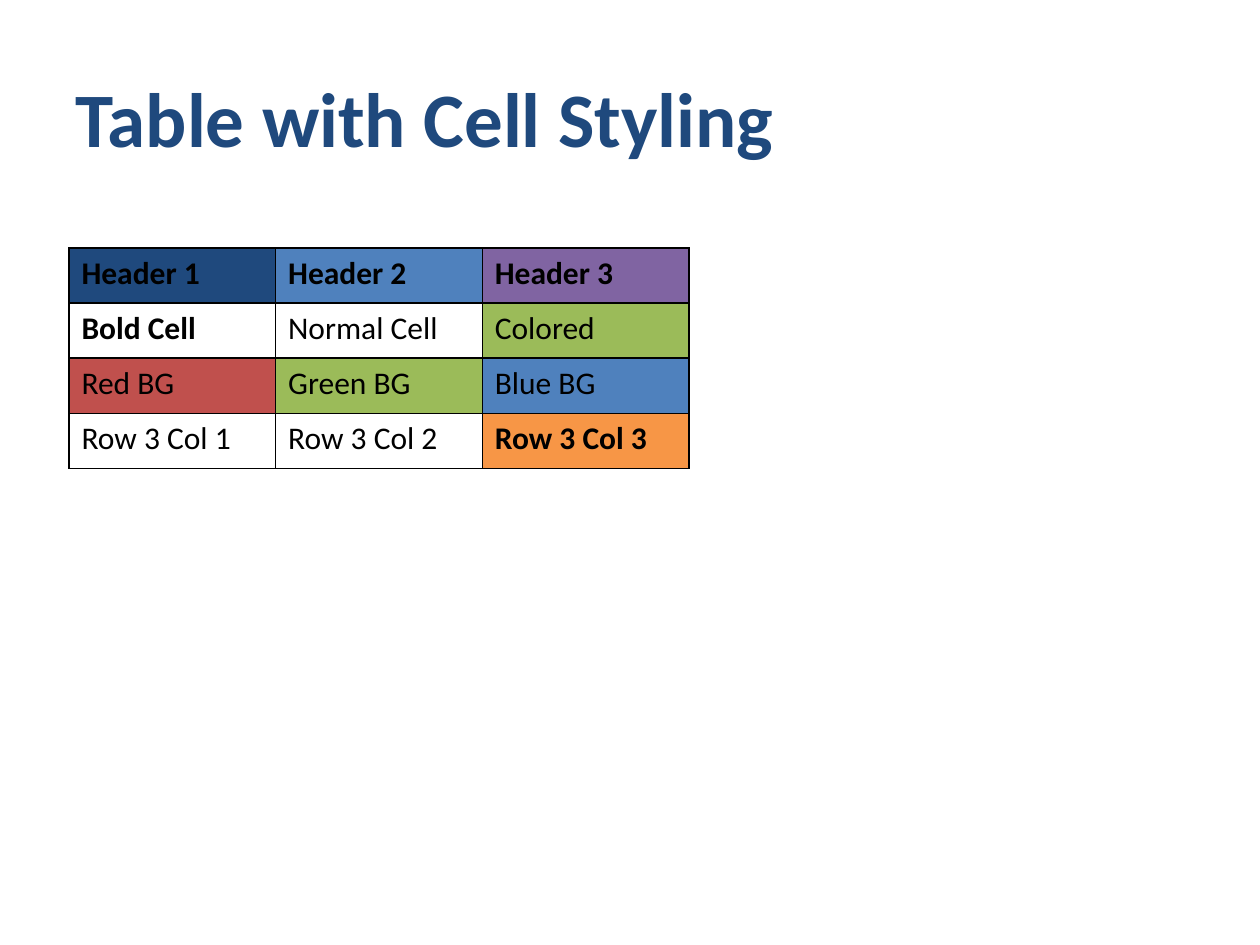
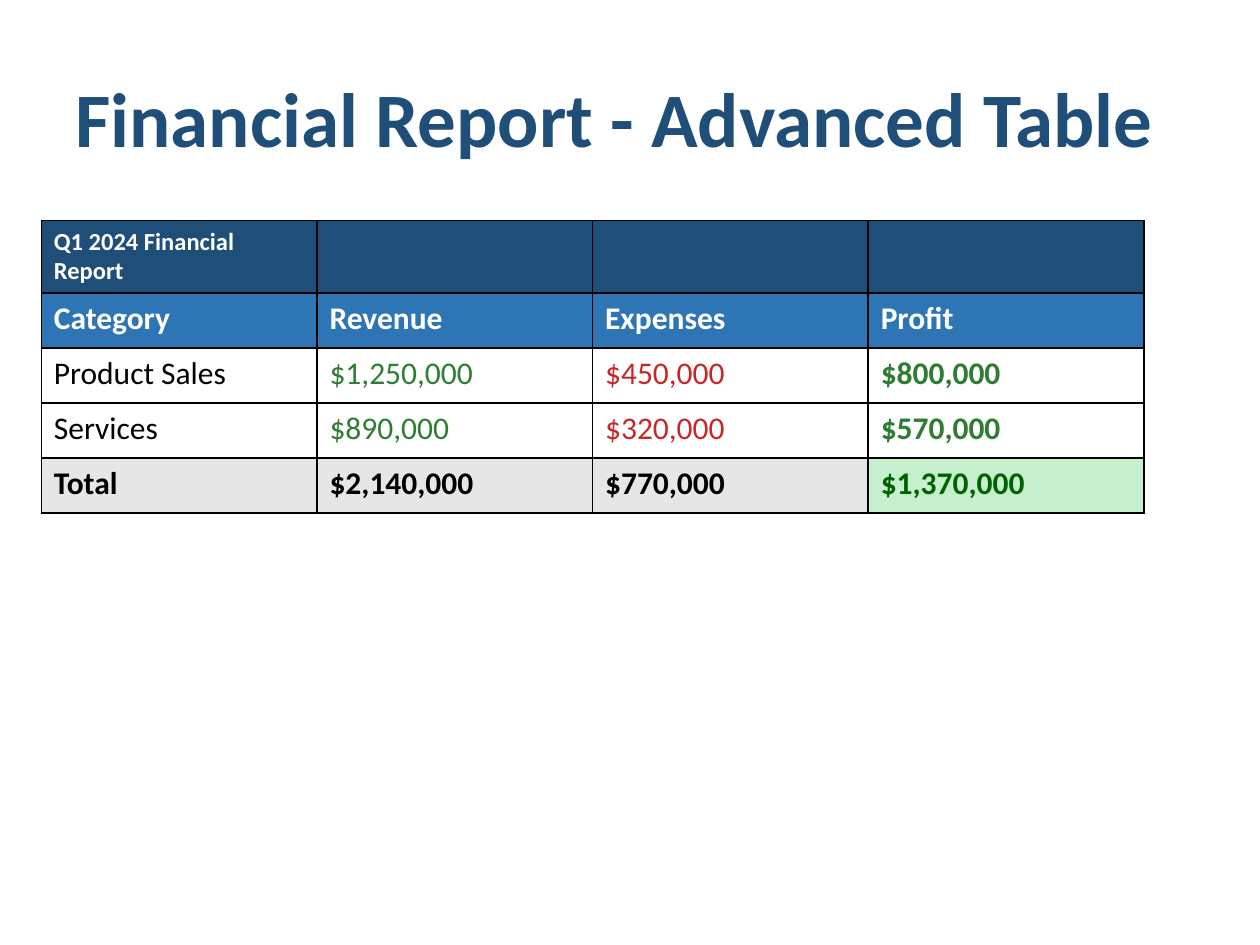
from collections import namedtuple
from dataclasses import dataclass

from lxml.etree import SubElement as Sub
from pptx import Presentation
from pptx.dml.color import RGBColor as RGB
from pptx.enum.text import MSO_ANCHOR as Anchor, MSO_AUTO_SIZE as Fit, PP_ALIGN as Align
from pptx.oxml.ns import qn
from pptx.util import Pt


@dataclass(frozen=True)
class Theme:
    font: str = "Calibri"
    title: int = 44
    body: int = 18
    small: int = 14
    line: float = 1
    black: str = "000000"
    white: str = "FFFFFF"
    navy: str = "1F497D"
    blue: str = "4F81BD"
    purple: str = "8064A2"
    red: str = "C0504D"
    green: str = "9BBB59"
    orange: str = "F79646"
    deep: str = "1F4E79"
    mid: str = "2E75B6"
    gain: str = "2E7D32"
    loss: str = "C62828"
    grey: str = "E7E6E6"
    mint: str = "C6EFCE"
    forest: str = "006100"


T = Theme()
TITLE_BOX = (36, 21.6, 648, 90)
ROW = 31.5

Look = namedtuple("Look", "fill ink bold size",
                  defaults=(T.white, T.black, False, T.body))
plain, strong = Look(), Look(bold=True)
banner = Look(T.deep, T.white, True, T.small)
head = Look(T.mid, T.white, True)
gain, loss = Look(ink=T.gain), Look(ink=T.loss)
profit = Look(ink=T.gain, bold=True)
total = Look(T.grey, bold=True)
result = Look(T.mint, T.forest, True)


def style(frame, size, ink, bold):
    for para in frame.paragraphs:
        for run in para.runs:
            font = run.font
            font.name, font.size, font.bold = T.font, Pt(size), bold
            font.color.rgb = RGB.from_string(ink)


def add_title(slide, box, text, ink):
    title = slide.shapes.title
    title.left, title.top, title.width, title.height = map(Pt, box)
    frame = title.text_frame
    frame.text = text
    frame.word_wrap = True
    frame.auto_size = Fit.NONE
    frame.vertical_anchor = Anchor.MIDDLE
    frame.paragraphs[0].alignment = Align.LEFT
    style(frame, T.title, ink, True)


def add_edges(cell):
    """Draw the four borders; call before the fill, which must follow them."""
    props = cell._tc.get_or_add_tcPr()
    for side in "LRTB":
        edge = Sub(props, qn(f"a:ln{side}"), w=str(Pt(T.line)))
        Sub(Sub(edge, qn("a:solidFill")), qn("a:srgbClr"), val=T.black)


def fill_cell(cell, text, look):
    add_edges(cell)
    cell.fill.solid()
    cell.fill.fore_color.rgb = RGB.from_string(look.fill)
    if text:
        cell.text_frame.text = text
        style(cell.text_frame, look.size, look.ink, look.bold)


def add_grid(slide, box, rows):
    """Place a table of (text, look) cells with equal columns in the box."""
    table = slide.shapes.add_table(len(rows), len(rows[0]), *map(Pt, box)).table
    table.first_row = table.horz_banding = False
    for r, row in enumerate(rows):
        for c, (text, look) in enumerate(row):
            fill_cell(table.cell(r, c), text, look)


def add_page(deck, title, ink, spot, col, rows):
    slide = deck.slides.add_slide(deck.slide_layouts[5])
    add_title(slide, TITLE_BOX, title, ink)
    add_grid(slide, (*spot, col * len(rows[0]), ROW * len(rows)), rows)


def row_of(texts, looks):
    return list(zip(texts, looks))


def main():
    deck = Presentation()
    deck.slide_width, deck.slide_height = Pt(720), Pt(540)

    add_page(deck, "Table with Cell Styling", T.navy, (39.4, 141.7), 118.1, [
        row_of(("Header 1", "Header 2", "Header 3"),
               [Look(fill, bold=True) for fill in (T.navy, T.blue, T.purple)]),
        row_of(("Bold Cell", "Normal Cell", "Colored"),
               (strong, plain, Look(T.green))),
        row_of(("Red BG", "Green BG", "Blue BG"),
               [Look(fill) for fill in (T.red, T.green, T.blue)]),
        row_of(("Row 3 Col 1", "Row 3 Col 2", "Row 3 Col 3"),
               (plain, plain, Look(T.orange, bold=True))),
    ])

    lines = (plain, gain, loss, profit)
    add_page(deck, "Financial Report - Advanced Table", T.deep, (23.6, 126), 157.5, [
        row_of(("Q1 2024 Financial Report", "", "", ""), [banner] * 4),
        row_of(("Category", "Revenue", "Expenses", "Profit"), [head] * 4),
        row_of(("Product Sales", "$1,250,000", "$450,000", "$800,000"), lines),
        row_of(("Services", "$890,000", "$320,000", "$570,000"), lines),
        row_of(("Total", "$2,140,000", "$770,000", "$1,370,000"),
               [total] * 3 + [result]),
    ])
    deck.save("out.pptx")


if __name__ == "__main__":
    main()
